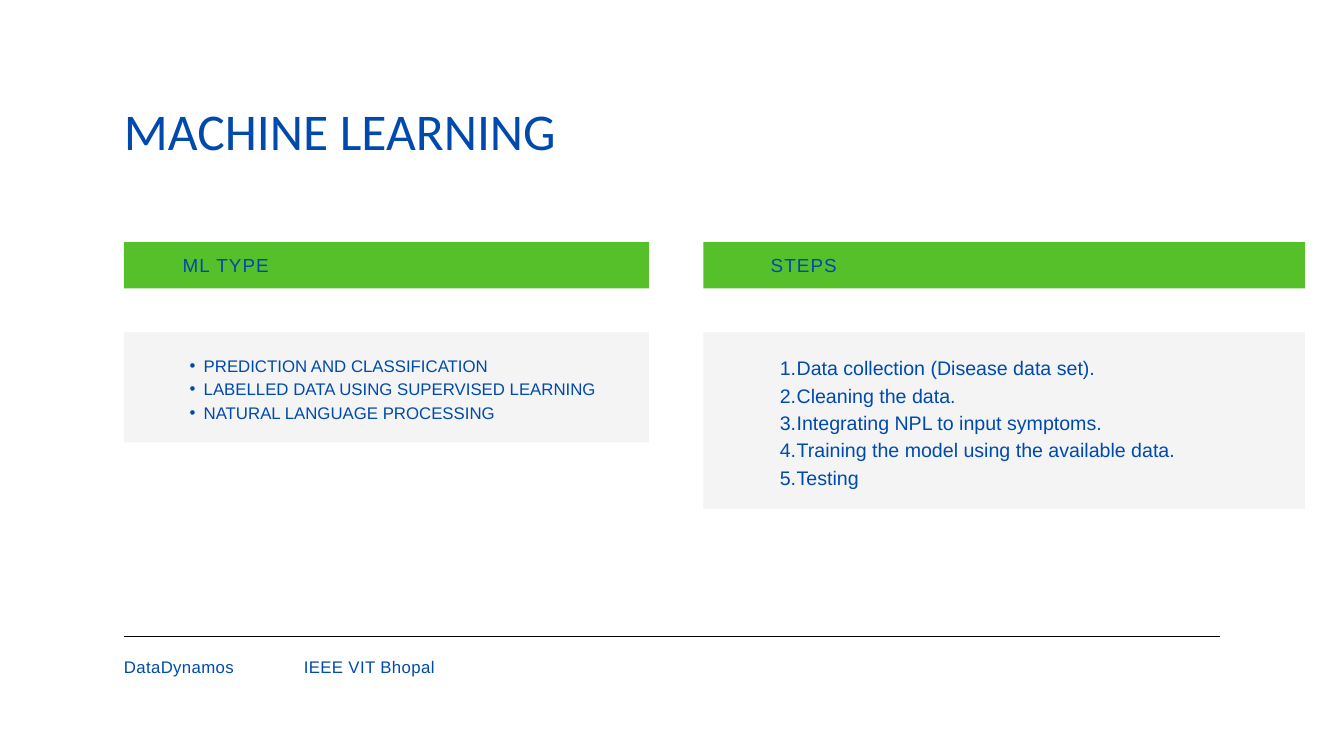
from lxml.etree import SubElement
from pptx import Presentation
from pptx.dml.color import RGBColor
from pptx.enum.shapes import MSO_CONNECTOR, MSO_SHAPE
from pptx.enum.text import MSO_ANCHOR, MSO_AUTO_SIZE, PP_ALIGN
from pptx.oxml.ns import qn
from pptx.util import Pt

PX = 9525
BLUE = RGBColor(0x00, 0x4A, 0xAD)
GREEN = RGBColor(0x56, 0xC0, 0x2B)
GREY = RGBColor(0xF4, 0xF4, 0xF4)
BLACK = RGBColor(0x00, 0x00, 0x00)

FRAME = {
    "margin_left": 0, "margin_top": 0, "margin_right": 0, "margin_bottom": 0,
    "word_wrap": True, "auto_size": MSO_AUTO_SIZE.NONE,
    "vertical_anchor": MSO_ANCHOR.TOP,
}
BULLET = ("a:buChar", {"char": "•"})
NUMBER = ("a:buAutoNum", {"type": "arabicPeriod"})
TYPES = ["PREDICTION AND CLASSIFICATION",
         "LABELLED DATA USING SUPERVISED LEARNING",
         "NATURAL LANGUAGE PROCESSING"]
STEPS = ["Data collection (Disease data set).",
         "Cleaning the data.",
         "Integrating NPL to input symptoms.",
         "Training the model using the available data.",
         "Testing"]


def apply(item, values):
    """Set each named value on the item."""
    for name, value in values.items():
        setattr(item, name, value)


def place(shape, box):
    """Move a shape to a box given in px."""
    sides = ("left", "top", "width", "height")
    apply(shape, {side: size * PX for side, size in zip(sides, box)})


def write(shape, box, lines, size, lead, font="Arial", track=0,
          align=PP_ALIGN.LEFT, mark=None, hang=0):
    """Fill a text shape with formatted paragraphs."""
    place(shape, box)
    frame = shape.text_frame
    frame.text = "\n".join(lines)
    apply(frame, FRAME)
    for para in frame.paragraphs:
        if mark:
            para.level = 1
            props = para._p.get_or_add_pPr()
            props.set("marL", str(2 * hang * PX))
            props.set("indent", str(-hang * PX))
            SubElement(props, qn(mark[0]), mark[1])
        apply(para, {"alignment": align, "line_spacing": Pt(lead),
                     "space_before": Pt(0), "space_after": Pt(0)})
        run = para.runs[0]
        apply(run.font, {"name": font, "size": Pt(size), "bold": False})
        run.font.color.rgb = BLUE
        if track:
            run._r.get_or_add_rPr().set("spc", str(track))


def panel(slide, box, fill):
    """Add a plain filled rectangle."""
    shape = slide.shapes.add_shape(MSO_SHAPE.RECTANGLE, 0, 0, 0, 0)
    place(shape, box)
    shape.shadow.inherit = False
    shape.fill.solid()
    shape.fill.fore_color.rgb = fill
    shape.line.fill.background()


def column(slide, box, holders, head, lines, inset, pad, head_fmt, list_fmt):
    """Build a green heading bar over a grey list panel."""
    left, top, width, height = box
    bar, gap = 66, 63
    low = top + bar + gap
    panel(slide, (left, top, width, bar), GREEN)
    panel(slide, (left, low, width, height - bar - gap), GREY)
    title, body = holders
    for holder in holders:
        slide.shapes._spTree.append(holder._element)
    write(title, (left + inset, top + 16, width - 2 * inset, 33), [head],
          20.2, 24.2, track=120, **head_fmt)
    write(body, (left + pad, low + 28, width - 2 * pad, height - bar - gap - 58),
          lines, **list_fmt)


def footer(slide, box):
    """Draw the rule with the two names below it."""
    left, top, width, height = box
    rule = slide.shapes.add_connector(
        MSO_CONNECTOR.STRAIGHT, left * PX, top * PX, (left + width) * PX, top * PX)
    rule.line.color.rgb = BLACK
    rule.line.width = Pt(0.75)
    SubElement(rule._element.spPr, qn("a:effectLst"))
    for name, shift, wide in (("DataDynamos", 0, 218), ("IEEE VIT Bhopal", 257, 191)):
        label = slide.shapes.add_textbox(0, 0, 0, 0)
        write(label, (left + shift, top + 25, wide, height - 25), [name],
              18, 25.2, track=40)


def main():
    """Build and save the slide."""
    deck = Presentation()
    apply(deck, {"slide_width": 1920 * PX, "slide_height": 1080 * PX})
    slide = deck.slides.add_slide(deck.slide_layouts[4])
    title, *rest = slide.placeholders
    write(title, (177, 152, 739, 92), ["MACHINE LEARNING"], 55.2, 58, "Calibri")
    just = {"align": PP_ALIGN.JUSTIFY}
    column(slide, (177, 346, 750, 286), rest[:2], "ML TYPE", TYPES, 84, 74, {},
           {"size": 18, "lead": 25.2, "mark": BULLET, "hang": 20, **just})
    column(slide, (1005, 346, 859, 381), rest[2:], "STEPS", STEPS, 96, 85, just,
           {"size": 21, "lead": 29.4, "mark": NUMBER, "hang": 24})
    footer(slide, (177, 909, 1566, 58))
    deck.save("out.pptx")


if __name__ == "__main__":
    main()
